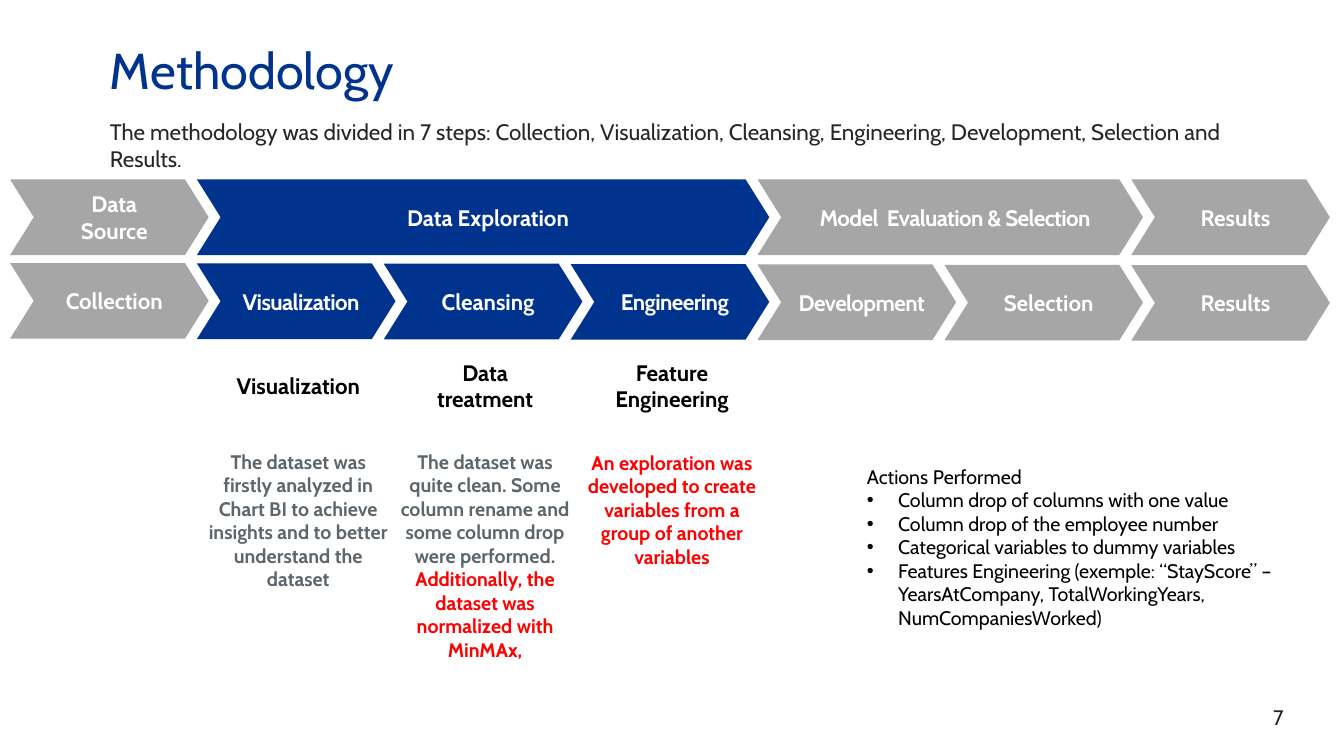
from lxml.etree import SubElement
from pptx import Presentation
from pptx.dml.color import RGBColor
from pptx.enum.shapes import MSO_SHAPE
from pptx.enum.text import MSO_ANCHOR, MSO_AUTO_SIZE, PP_ALIGN
from pptx.oxml.ns import qn
from pptx.util import Inches, Pt

COLORS = {
    "blue": "00338D",
    "gray": "A6A6A6",
    "slate": "5C666C",
    "dark": "262626",
    "red": "FF0000",
    "black": "000000",
    "white": "FFFFFF",
}
FIRST_LEFT = 0.1
STEP_PITCH = (11.22 - FIRST_LEFT) / 6
STEP_WIDTH = 1.97
STEP_HEIGHT = 0.75
PHASE_TOP = 1.78
STEP_TOP = 2.61
STEP_DRIFT = 0.02 / 6  # the step row descends slightly to the right

# Phase: label, first step, number of steps, color, letter spacing
PHASES = [
    ("Data\vSource", 0, 1, "gray", 0),
    ("Data Exploration", 1, 3, "blue", 0),
    ("Model  Evaluation & Selection", 4, 2, "gray", -0.4),
    ("Results", 6, 1, "gray", 0),
]
# Step: label, color, letter spacing
STEPS = [
    ("Collection", "gray", 0),
    ("Visualization", "blue", -0.4),
    ("Cleansing", "blue", 0),
    ("Engineering", "blue", -0.4),
    ("Development", "gray", -0.4),
    ("Selection", "gray", 0),
    ("Results", "gray", 0),
]
# Detail: step index, heading, top of the description, colored description parts
DETAILS = [
    (1, "Visualization", 4.41, [
        ("The dataset was firstly analyzed in Chart BI to achieve insights "
         "and to better understand the dataset", "slate")]),
    (2, "Data\vtreatment", 4.41, [
        ("The dataset was quite clean. Some column rename and some column "
         "drop were performed.", "slate"),
        ("Additionally, the dataset was normalized with MinMAx,", "red")]),
    (3, "Feature Engineering", 4.42, [
        ("An exploration was developed to create variables from a group of "
         "another variables", "red")]),
]
ACTIONS = [
    "Column drop of columns with one value",
    "Column drop of the employee number",
    "Categorical variables to dummy variables",
    "Features Engineering (exemple: “StayScore” – YearsAtCompany, "
    "TotalWorkingYears, NumCompaniesWorked)",
]


def step_left(index):
    return FIRST_LEFT + index * STEP_PITCH


class SlideBuilder:
    font_name = "Cabin"

    def __init__(self, slide):
        self.slide = slide

    def style_run(self, run, size, color, bold=False, spacing=0):
        run.font.name = self.font_name
        run.font.size = Pt(size)
        run.font.bold = bold
        run.font.color.rgb = RGBColor.from_string(COLORS[color])
        if spacing:
            run._r.get_or_add_rPr().set("spc", str(round(spacing * 100)))

    def style_paragraph(self, paragraph, size, color, bold=False,
                        align=PP_ALIGN.LEFT, spacing=0):
        paragraph.alignment = align
        for run in paragraph.runs:
            self.style_run(run, size, color, bold, spacing)

    def set_margins(self, text_frame, left, top, right, bottom):
        text_frame.margin_left, text_frame.margin_top = Inches(left), Inches(top)
        text_frame.margin_right, text_frame.margin_bottom = Inches(right), Inches(bottom)

    def title(self, text, left, top, width, height):
        shape = self.slide.shapes.title
        shape.left, shape.top = Inches(left), Inches(top)
        shape.width, shape.height = Inches(width), Inches(height)
        text_frame = shape.text_frame
        text_frame.text = text
        text_frame.auto_size = MSO_AUTO_SIZE.NONE
        text_frame.vertical_anchor = MSO_ANCHOR.MIDDLE
        self.set_margins(text_frame, 0, 0, 0, 0)
        text_frame.paragraphs[0].line_spacing = 0.7
        self.style_paragraph(text_frame.paragraphs[0], 36, "blue")

    def text_box(self, text, left, top, width, height, size, color, bold=False,
                 align=PP_ALIGN.LEFT, anchor=MSO_ANCHOR.TOP, margin=None):
        shape = self.slide.shapes.add_textbox(
            Inches(left), Inches(top), Inches(width), Inches(height))
        text_frame = shape.text_frame
        text_frame.word_wrap = True
        text_frame.vertical_anchor = anchor
        if margin is not None:
            self.set_margins(text_frame, margin, margin, margin, margin)
        text_frame.text = text
        for paragraph in text_frame.paragraphs:
            self.style_paragraph(paragraph, size, color, bold, align)
        return text_frame

    def chevron(self, text, left, top, width, color, spacing):
        shape = self.slide.shapes.add_shape(
            MSO_SHAPE.CHEVRON, Inches(left), Inches(top),
            Inches(width), Inches(STEP_HEIGHT))
        shape.adjustments[0] = 0.313
        shape.shadow.inherit = False
        shape.fill.solid()
        shape.fill.fore_color.rgb = RGBColor.from_string(COLORS[color])
        shape.line.fill.background()
        text_frame = shape.text_frame
        text_frame.word_wrap = False
        text_frame.vertical_anchor = MSO_ANCHOR.MIDDLE
        self.set_margins(text_frame, 0.1, 0.05, 0, 0.05)
        text_frame.text = text
        self.style_paragraph(text_frame.paragraphs[0], 16, "white", True,
                             PP_ALIGN.CENTER, spacing)

    def bullet(self, paragraph):
        properties = paragraph._p.get_or_add_pPr()
        properties.set("marL", str(Inches(0.31)))
        properties.set("indent", str(-Inches(0.31)))
        SubElement(properties, qn("a:buFont")).set("typeface", "Arial")
        SubElement(properties, qn("a:buChar")).set("char", "•")


def main():
    presentation = Presentation()
    presentation.slide_width = Inches(13.33)
    presentation.slide_height = Inches(7.5)
    slide = presentation.slides.add_slide(presentation.slide_layouts[5])
    builder = SlideBuilder(slide)

    # Title, introduction and page number
    builder.title("Methodology", 1.09, 0.47, 11.15, 0.58)
    builder.text_box(
        "The methodology was divided in 7 steps: Collection, Visualization, "
        "Cleansing, Engineering, Development, Selection and Results.",
        1.09, 1.17, 11.16, 0.54, 16, "dark", margin=0)
    builder.text_box("7", 12.42, 6.93, 0.52, 0.42, 15, "dark",
                     align=PP_ALIGN.CENTER, margin=0.06)

    # Row of steps
    for index, (label, color, spacing) in enumerate(STEPS):
        builder.chevron(label, step_left(index), STEP_TOP + index * STEP_DRIFT,
                        STEP_WIDTH, color, spacing)

    # Row of phases, each spanning its steps
    for label, first, count, color, spacing in PHASES:
        width = STEP_WIDTH + (count - 1) * STEP_PITCH
        builder.chevron(label, step_left(first), PHASE_TOP, width, color, spacing)

    # Headings and descriptions under the exploration steps
    for index, heading, top, parts in DETAILS:
        left = step_left(index)
        builder.text_box(heading, left, 3.24, 2.01, 1.17, 16, "black", True,
                         PP_ALIGN.CENTER, MSO_ANCHOR.MIDDLE)
        description = "\v".join(text for text, color in parts)
        text_frame = builder.text_box(description, left, top, 2.01, 1.92, 14,
                                      "slate", True, PP_ALIGN.CENTER)
        for run, (text, color) in zip(text_frame.paragraphs[0].runs, parts):
            builder.style_run(run, 14, color, True)

    # List of actions
    text_frame = builder.text_box("\n".join(["Actions Performed"] + ACTIONS),
                                  8.5, 4.56, 4.83, 2.46, 14, "black")
    for paragraph in text_frame.paragraphs[1:]:
        builder.bullet(paragraph)

    presentation.save("out.pptx")


if __name__ == "__main__":
    main()
